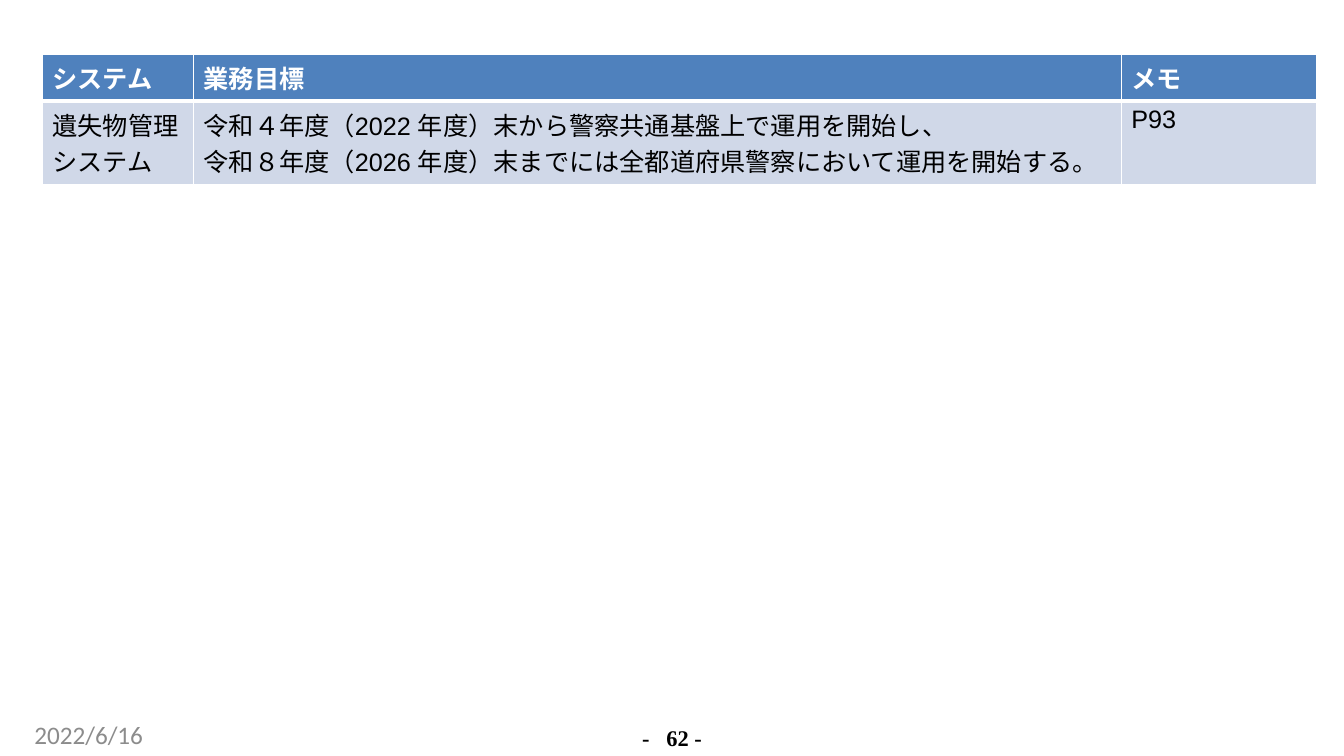
from dataclasses import dataclass

from lxml.etree import SubElement
from pptx import Presentation
from pptx.dml.color import RGBColor as Rgb
from pptx.enum.text import PP_ALIGN as Align
from pptx.oxml.ns import qn
from pptx.util import Inches, Pt

HEADER = ["システム", "業務目標", "メモ"]
GOALS = [
    ["遺失物管理システム",
     "令和４年度（2022 年度）末から警察共通基盤上で運用を開始し、\n"
     "令和８年度（2026 年度）末までには全都道府県警察において運用を開始する。",
     "P93"],
]
DATE = "2022/6/16"
PAGE_NUMBER = "-\t62 -"

COLUMNS = [1.5, 9.2, 1.94]
ROWS = [0.41, 0.7]
TABLE_AT = (0.42, 0.54)
DATE_AT = (0.34, 7.14, 3.07, 0.3)
NUMBER_AT = (6.23, 7.19, 0.86, 0.25)


@dataclass(frozen=True)
class Theme:
    white: str = "FFFFFF"
    black: str = "000000"
    grey: str = "8C8C8C"
    header: str = "4F81BD"
    band: str = "D0D8E8"
    table_font: str = "Arial"
    date_font: str = "Calibri"
    number_font: str = "Times New Roman"
    asian_font: str = "Noto Sans CJK JP"
    text_size: int = 18
    number_size: int = 16


THEME = Theme()


def style(para, name, size, color, bold=False):
    font = para.font
    font.name, font.size, font.bold = name, Pt(size), bold
    font.color.rgb = Rgb.from_string(color)
    defaults = para._p.pPr.find(qn("a:defRPr"))
    SubElement(defaults, qn("a:ea"), typeface=THEME.asian_font)


def add_borders(cell, bottom):
    """Draw white cell edges; the bottom edge has its own width in points."""
    properties = cell._tc.get_or_add_tcPr()
    widths = {"lnL": 1, "lnR": 1, "lnT": 1, "lnB": bottom}
    for index, (edge, width) in enumerate(widths.items()):
        line = SubElement(properties, qn(f"a:{edge}"), w=str(Pt(width)))
        fill = SubElement(line, qn("a:solidFill"))
        SubElement(fill, qn("a:srgbClr"), val=THEME.white)
        properties.insert(index, line)


def add_goal_table(page):
    left, top = TABLE_AT
    size = (left, top, sum(COLUMNS), sum(ROWS))
    table = page.shapes.add_table(len(ROWS), len(COLUMNS), *map(Inches, size)).table
    for column, width in zip(table.columns, COLUMNS):
        column.width = Inches(width)
    for row, height, texts in zip(table.rows, ROWS, [HEADER, *GOALS]):
        row.height = Inches(height)
        is_header = texts is HEADER
        for cell, text in zip(row.cells, texts):
            cell.text = text
            cell.fill.solid()
            cell.fill.fore_color.rgb = Rgb.from_string(THEME.header if is_header else THEME.band)
            add_borders(cell, 3 if is_header else 1)
            for para in cell.text_frame.paragraphs:
                style(para, THEME.table_font, THEME.text_size,
                      THEME.white if is_header else THEME.black, is_header)


def add_footer(page, place, text):
    frame = page.shapes.add_textbox(*map(Inches, place)).text_frame
    frame.word_wrap = True
    frame.margin_left = frame.margin_top = frame.margin_right = frame.margin_bottom = 0
    frame.text = text
    return frame.paragraphs[0]


def add_page_number(page):
    para = add_footer(page, NUMBER_AT, PAGE_NUMBER)
    para.alignment = Align.CENTER
    para.line_spacing = Pt(18.4)
    properties = para._p.get_or_add_pPr()
    properties.set("marL", str(Inches(0.01)))
    tabs = SubElement(properties, qn("a:tabLst"))
    SubElement(tabs, qn("a:tab"), pos=str(Inches(0.24)), algn="l")
    style(para, THEME.number_font, THEME.number_size, THEME.black, True)


def main():
    deck = Presentation()
    deck.slide_width, deck.slide_height = Inches(13.33), Inches(7.5)
    page = deck.slides.add_slide(deck.slide_layouts[6])
    add_goal_table(page)
    add_page_number(page)
    date = add_footer(page, DATE_AT, DATE)
    style(date, THEME.date_font, THEME.text_size, THEME.grey)
    deck.save("out.pptx")


if __name__ == "__main__":
    main()
